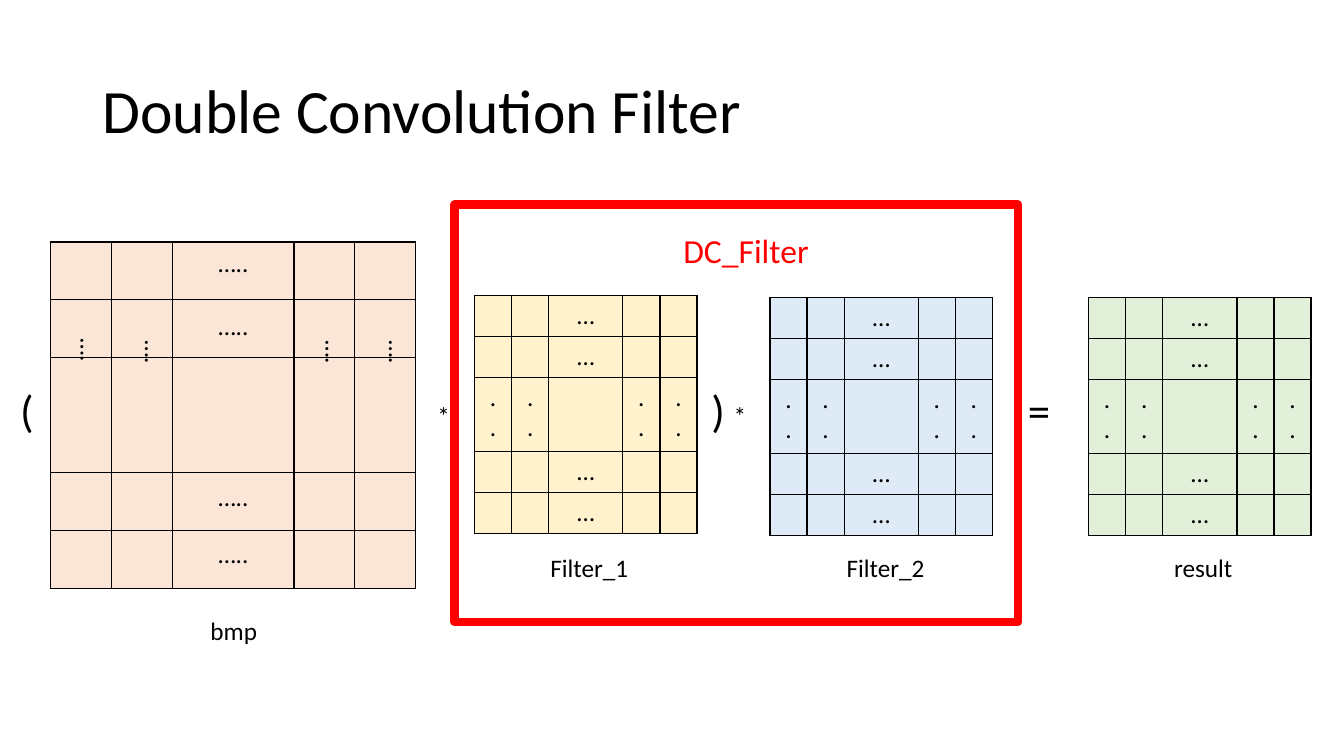
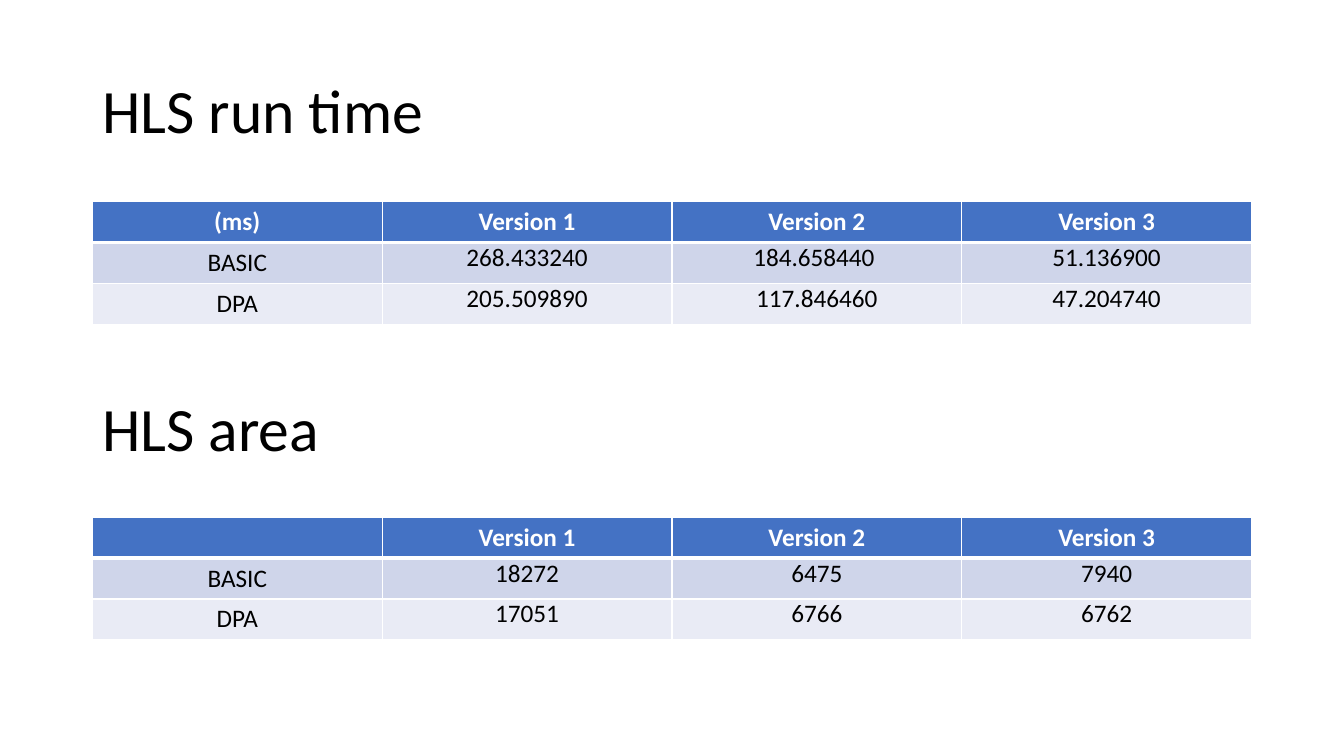
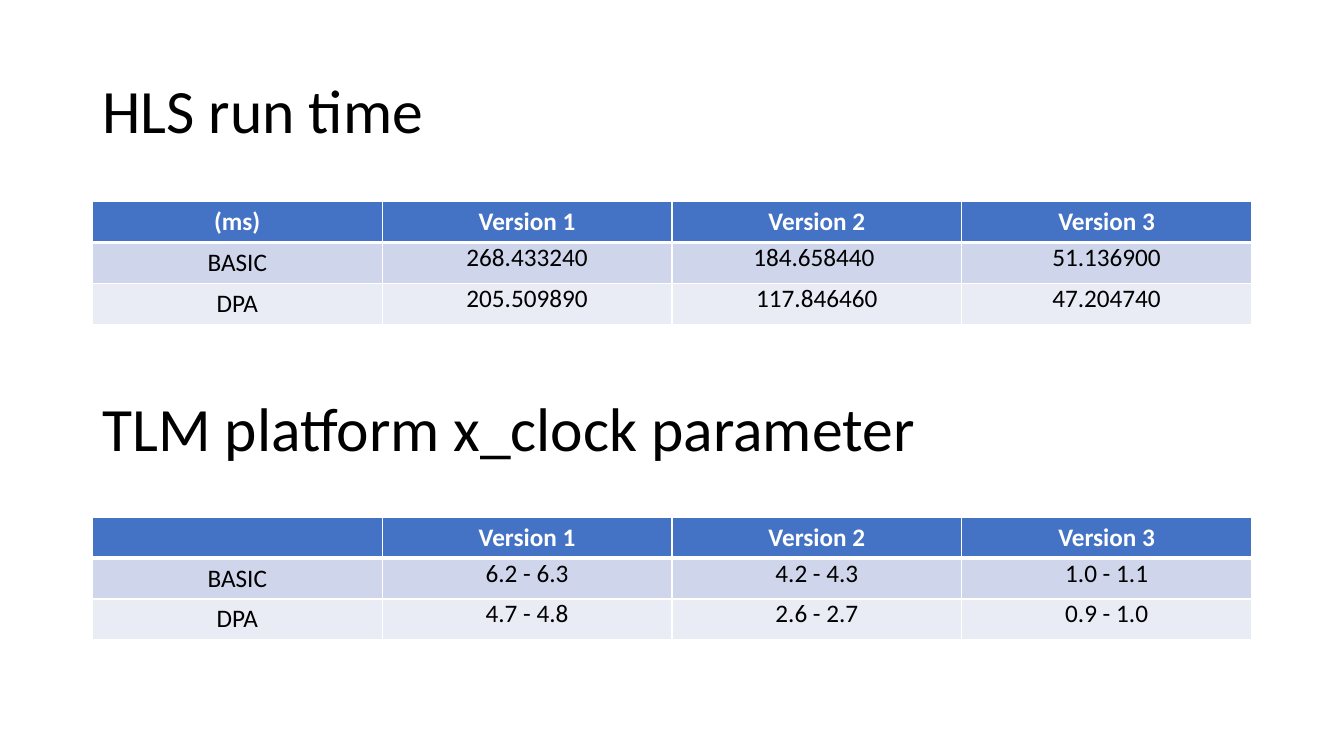
from lxml import etree
from pptx import Presentation
from pptx.dml.color import RGBColor
from pptx.enum import shapes, text
from pptx.oxml import ns
from pptx.util import Pt

BLACK = RGBColor(0x00, 0x00, 0x00)
WHITE = RGBColor(0xFF, 0xFF, 0xFF)
RED = RGBColor(0xFF, 0x00, 0x00)
PEACH = RGBColor(0xFB, 0xE5, 0xD6)
CREAM = RGBColor(0xFF, 0xF2, 0xCC)
SKY = RGBColor(0xDE, 0xEB, 0xF7)
MINT = RGBColor(0xE2, 0xF0, 0xD9)
BLUE = RGBColor(0x44, 0x72, 0xC4)
MIST = RGBColor(0xCF, 0xD5, 0xEA)
PALE = RGBColor(0xE9, 0xEB, 0xF5)
FONT = "Calibri"
LEFT = text.PP_ALIGN.LEFT
MID = text.PP_ALIGN.CENTER
TITLE = (66, 28.8, 828, 104.4)


def write(frame, words, size=18, color=BLACK, align=MID, bold=False, space=1.0):
    for n, line in enumerate(words.split("\n")):
        para = frame.add_paragraph() if n else frame.paragraphs[0]
        para.alignment = align
        para.line_spacing = space
        run = para.add_run()
        run.text = line
        run.font.name = FONT
        run.font.size = Pt(size)
        run.font.bold = bold
        run.font.color.rgb = color


def grid(slide, left, top, cols, rows, fills, ink, head=1):
    area = (Pt(left), Pt(top), Pt(sum(cols)), Pt(sum(rows)))
    table = slide.shapes.add_table(len(rows), len(cols), *area).table
    table.first_row = table.horz_banding = False
    for col, width in zip(table.columns, cols):
        col.width = Pt(width)
    for r, high in enumerate(rows):
        table.rows[r].height = Pt(high)
        for cell in table.rows[r].cells:
            props = cell._tc.get_or_add_tcPr()
            for side in "LRTB":
                thick = head if (r, side) in ((0, "B"), (1, "T")) else 1
                line = etree.SubElement(props, ns.qn("a:ln" + side), w=str(Pt(thick)))
                solid = etree.SubElement(line, ns.qn("a:solidFill"))
                etree.SubElement(solid, ns.qn("a:srgbClr"), val=str(ink))
            cell.fill.solid()
            cell.fill.fore_color.rgb = fills[r]
    return table


deck = Presentation()
deck.slide_width = Pt(960)
deck.slide_height = Pt(540)

pages = []
for name in ("Double Convolution Filter", "HLS run time", "HLS run time"):
    page = deck.slides.add_slide(deck.slide_layouts[5])
    title = page.shapes.title
    title.left, title.top, title.width, title.height = map(Pt, TITLE)
    title.text_frame.vertical_anchor = text.MSO_ANCHOR.MIDDLE
    title.text_frame.word_wrap = True
    write(title.text_frame, name, 44, align=LEFT, space=0.9)
    pages.append(page)

flow = pages[0]
grid(flow, 36, 172.8, [43.5, 43.5, 87, 43.5, 43.5],
     [41.2, 41.2, 82.6, 41.2, 41.2], [PEACH] * 5, BLACK)

for left, top, tint in ((339, 211, CREAM), (550, 212.4, SKY), (777.6, 212.4, MINT)):
    table = grid(flow, left, top, [26.5, 26.5, 53, 26.5, 26.5],
                 [28.8, 28.8, 53.3, 28.8, 28.8], [tint] * 5, BLACK)
    for n in (0, 1, 3, 4):
        write(table.cell(n, 2).text_frame, "…")
        write(table.cell(2, n).text_frame, ".\n.")

labels = [
    (305.3, 282.2, 87, 28.8, "*", 18, BLACK, LEFT),
    (517, 282.2, 87, 28.8, "*", 18, BLACK, LEFT),
    (7.2, 270, 40, 46, "(", 32, BLACK, LEFT),
    (501, 270, 40, 46, ")", 32, BLACK, LEFT),
    (727.2, 270, 174, 46, "=", 32, BLACK, LEFT),
    (143.3, 436.3, 166, 28.8, "bmp", 18, BLACK, LEFT),
    (386, 391, 98.6, 28.8, "Filter_1", 18, BLACK, LEFT),
    (597.6, 391, 98.6, 28.8, "Filter_2", 18, BLACK, LEFT),
    (831.6, 391, 98.6, 28.8, "result", 18, BLACK, LEFT),
    (481, 160.6, 107.3, 36, "DC_Filter", 24, RED, LEFT),
]
for top in (172.8, 218.2, 340.6, 380.9):
    labels.append((97.2, top, 139, 28.8, "…..", 18, BLACK, MID))
for left, top in ((43.2, 234.7), (89.3, 236.2), (218.2, 236.2), (263.5, 236.2)):
    labels.append((left, top, 36, 126.7, "….", 18, BLACK, MID))

for left, top, width, high, words, size, color, align in labels:
    box = flow.shapes.add_textbox(Pt(left), Pt(top), Pt(width), Pt(high))
    frame = box.text_frame
    frame.word_wrap = True
    frame.auto_size = text.MSO_AUTO_SIZE.SHAPE_TO_FIT_TEXT
    if high > width:
        if words == "….":
            frame._txBody.bodyPr.set("vert", "eaVert")
    write(frame, words, size, color, align)

ring = flow.shapes.add_shape(shapes.MSO_SHAPE.RECTANGLE,
                             Pt(324.7), Pt(146.2), Pt(402.5), Pt(298))
ring.shadow.inherit = False
ring.fill.background()
ring.line.color.rgb = RED
ring.line.width = Pt(6)

VERSIONS = ["Version 1", "Version 2", "Version 3"]
times = [["(ms)"] + VERSIONS,
         ["BASIC", "268.433240", "184.658440 ", "51.136900"],
         ["DPA", "205.509890", "117.846460", "47.204740"]]
sizes = [[""] + VERSIONS,
         ["BASIC", "18272", "6475", "7940"],
         ["DPA", "17051", "6766", "6762"]]
clocks = [[""] + VERSIONS,
          ["BASIC", "6.2 - 6.3", "4.2 - 4.3", "1.0 - 1.1"],
          ["DPA", "4.7 - 4.8", "2.6 - 2.7", "0.9 - 1.0"]]

for page, name, lower in ((pages[1], "HLS area", sizes),
                          (pages[2], "TLM platform x_clock parameter", clocks)):
    for top, data in ((144, times), (369.4, lower)):
        table = grid(page, 66, top, [207] * 4, [29.2] * 3, [BLUE, MIST, PALE], WHITE, 3)
        for r, row in enumerate(data):
            for c, words in enumerate(row):
                cell = table.cell(r, c)
                if r and c:
                    cell.margin_top = cell.margin_bottom = 0
                    cell.margin_left = cell.margin_right = Pt(5)
                if words:
                    write(cell.text_frame, words, color=BLACK if r else WHITE, bold=not r)
    left, top, width, high = TITLE
    box = page.shapes.add_textbox(Pt(left), Pt(256.3), Pt(width), Pt(high))
    box.text_frame.word_wrap = True
    box.text_frame.vertical_anchor = text.MSO_ANCHOR.MIDDLE
    write(box.text_frame, name, 44, align=LEFT, space=0.9)

deck.save("out.pptx")
